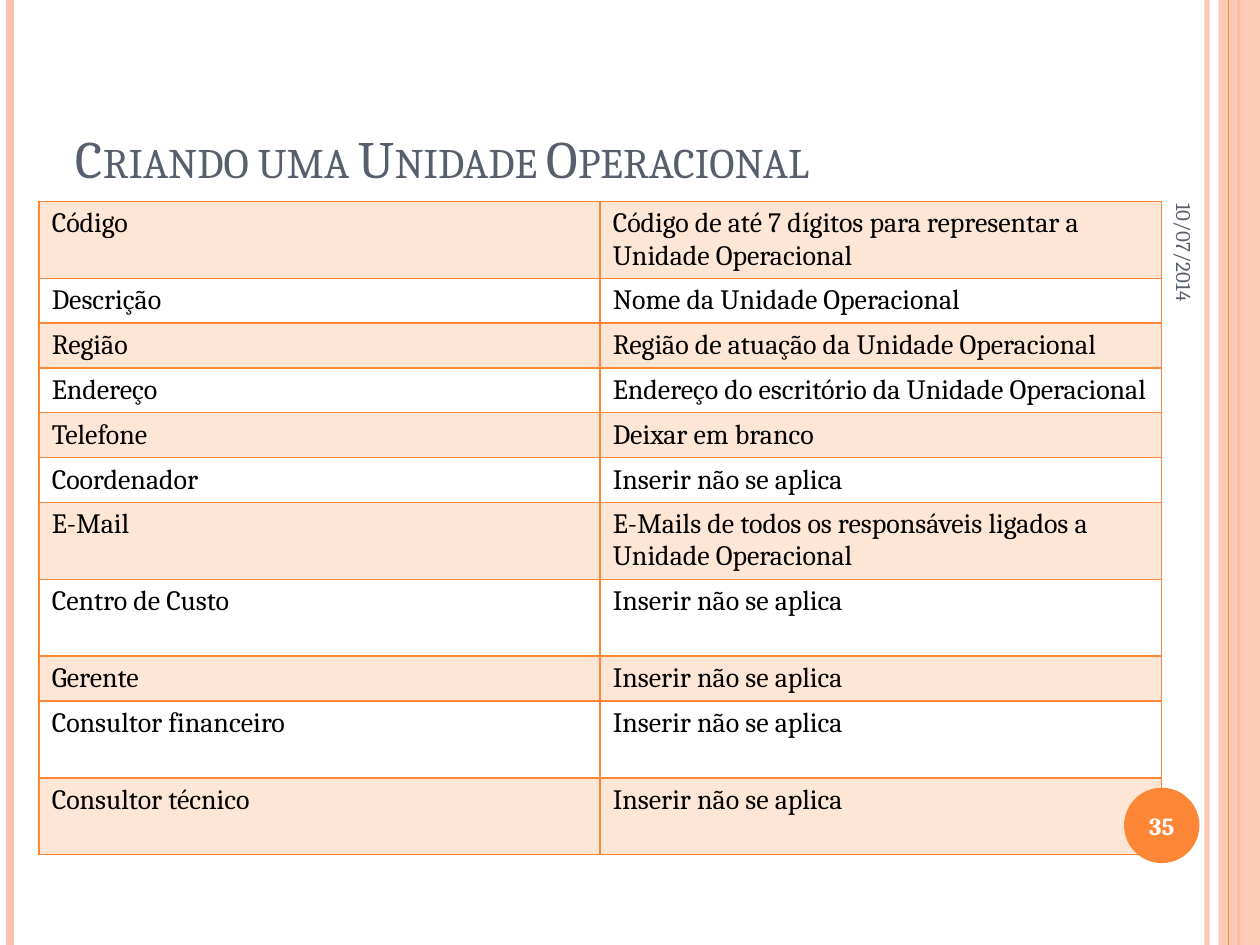
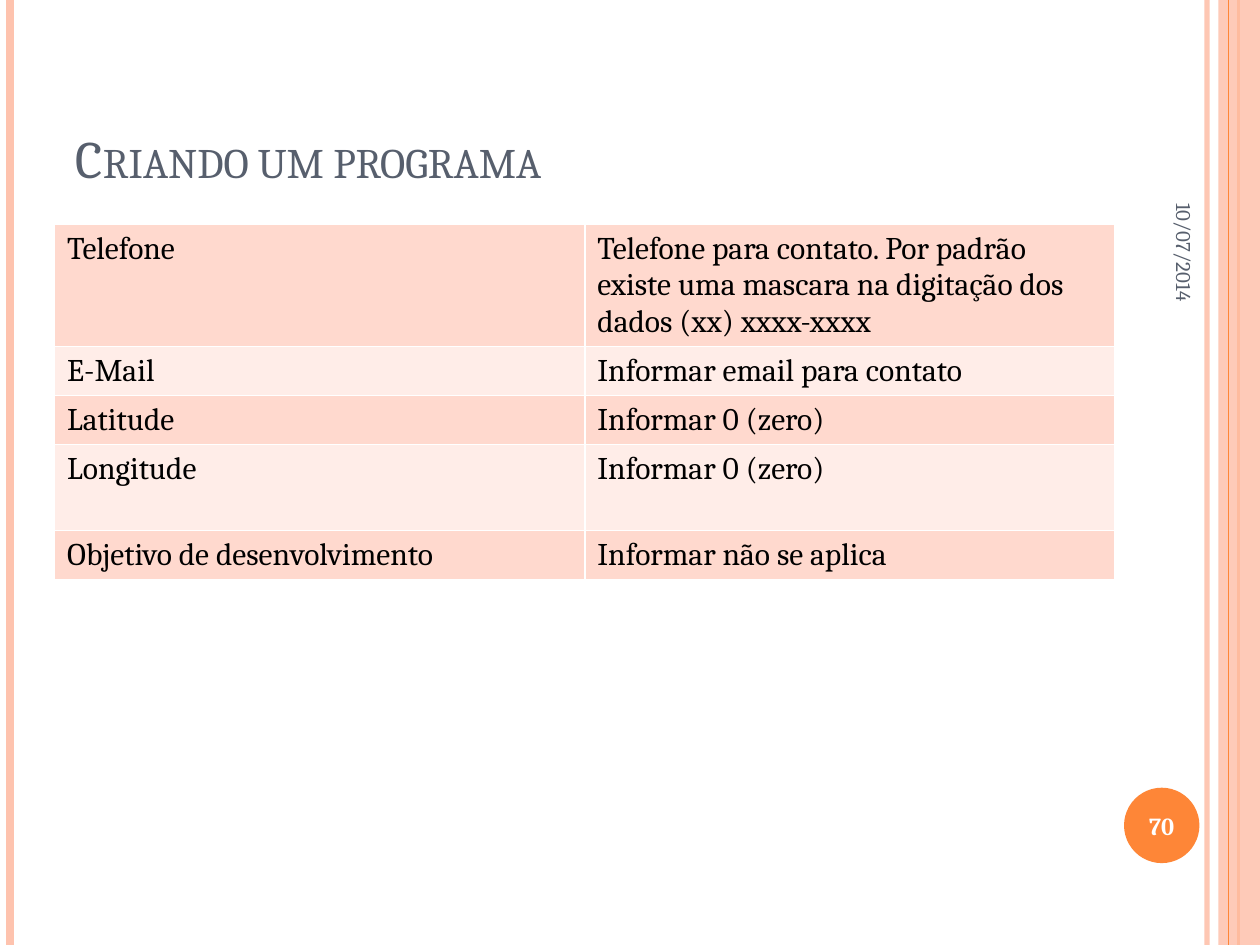
from lxml import etree
from pptx import Presentation
from pptx import util as u
from pptx.dml.color import RGBColor
from pptx.enum import shapes, text
from pptx.oxml.ns import qn

FONT = "Cambria"
COLORS = {"orange": "FE8637", "peach": "FEC3AE", "slate": "575F6D", "black": "000000",
          "white": "FFFFFF", "band_dark": "FFD9CE", "band_light": "FFEDE8"}

# (x in cm, colour, width in pt, opacity in %)
RULES = [(24.33, "peach", 3, 93), (0.21, "peach", 4.5, 100),
         (24.97, "orange", 1.5, 100), (24.77, "orange", 0.75, 100)]

TALL, SHORT = 1.55, 0.9
SLIDES = [
    dict(title="Criando uma Unidade Operacional", number="35",
         left=0.79, top=4.06, col=11.31, size=16, border="orange",
         bands=[("orange", 20), None],
         rows=[("Código", "Código de até 7 dígitos para representar a Unidade Operacional", TALL),
               ("Descrição", "Nome da Unidade Operacional", SHORT),
               ("Região", "Região de atuação da Unidade Operacional", SHORT),
               ("Endereço", "Endereço do escritório da Unidade Operacional", SHORT),
               ("Telefone", "Deixar em branco", SHORT),
               ("Coordenador", "Inserir não se aplica", SHORT),
               ("E-Mail", "E-Mails de todos os responsáveis ligados a Unidade Operacional", TALL),
               ("Centro de Custo", "Inserir não se aplica", TALL),
               ("Gerente", "Inserir não se aplica", SHORT),
               ("Consultor financeiro", "Inserir não se aplica", TALL),
               ("Consultor técnico", "Inserir não se aplica", TALL)]),
    dict(title="Criando um programa", number="70",
         left=1.1, top=4.53, col=10.69, size=18, border="white",
         bands=[("band_dark", 100), ("band_light", 100)],
         rows=[("Telefone", "Telefone para contato. Por padrão existe uma mascara na "
                "digitação dos dados (xx) xxxx-xxxx", 2.44),
               ("E-Mail", "Informar email para contato", 0.99),
               ("Latitude", "Informar 0 (zero)", 0.99),
               ("Longitude", "Informar 0 (zero)", 1.73),
               ("Objetivo de desenvolvimento", "Informar não se aplica", 0.99)]),
]


def write(tf, content, size, color="black", bold=False, align=text.PP_ALIGN.LEFT,
          anchor=text.MSO_ANCHOR.MIDDLE, small_caps=False):
    tf.word_wrap = True
    tf.vertical_anchor = anchor
    p = tf.paragraphs[0]
    p.alignment = align
    r = p.add_run()
    r.text = content
    r.font.name, r.font.size, r.font.bold = FONT, u.Pt(size), bold
    r.font.color.rgb = RGBColor.from_string(COLORS[color])
    if small_caps:
        r._r.get_or_add_rPr().set("cap", "small")


def paint(fill, parent, color, opacity=100):
    """Fill solidly; parent is the XML element that holds the fill."""
    fill.solid()
    fill.fore_color.rgb = RGBColor.from_string(COLORS[color])
    if opacity < 100:
        clr = parent.find(qn("a:solidFill")).find(qn("a:srgbClr"))
        etree.SubElement(clr, qn("a:alpha"), val=str(opacity * 1000))


prs = Presentation()
prs.slide_width, prs.slide_height = u.Cm(25.4), u.Cm(19.05)

for data in SLIDES:
    s = prs.slides.add_slide(prs.slide_layouts[5])

    # Edge rules, with the side band just below the last one
    for i, (x, color, width, opacity) in enumerate(RULES):
        if i == len(RULES) - 1:
            band = s.shapes.add_shape(shapes.MSO_SHAPE.RECTANGLE,
                                      u.Cm(24.56), 0, u.Cm(0.84), prs.slide_height)
            band.shadow.inherit = False
            band.line.fill.background()
            paint(band.fill, band._element.spPr, "peach", 87)
        rule = s.shapes.add_connector(shapes.MSO_CONNECTOR.STRAIGHT,
                                      u.Cm(x), 0, u.Cm(x), prs.slide_height)
        rule.line.width = u.Pt(width)
        paint(rule.line.fill, rule.line._ln, color, opacity)
        etree.SubElement(rule._element.spPr, qn("a:effectLst"))

    # Title
    title = s.shapes.title
    title.left, title.top, title.width, title.height = (
        u.Cm(1.27), u.Cm(0.76), u.Cm(20.75), u.Cm(3.18))
    title.text_frame.auto_size = text.MSO_AUTO_SIZE.NONE
    write(title.text_frame, data["title"], 30, "slate",
          anchor=text.MSO_ANCHOR.BOTTOM, small_caps=True)

    # Field table
    rows = data["rows"]
    table = s.shapes.add_table(len(rows), 2, u.Cm(data["left"]), u.Cm(data["top"]),
                               u.Cm(2 * data["col"]), u.Cm(sum(r[2] for r in rows))).table
    table.first_row = table.horz_banding = False
    for column in table.columns:
        column.width = u.Cm(data["col"])
    for i, (field, meaning, height) in enumerate(rows):
        table.rows[i].height = u.Cm(height)
        for j, content in enumerate((field, meaning)):
            cell = table.cell(i, j)
            write(cell.text_frame, content, data["size"])
            cell.vertical_anchor = text.MSO_ANCHOR.TOP
            tcPr = cell._tc.get_or_add_tcPr()
            for side in ("lnL", "lnR", "lnT", "lnB"):
                ln = etree.SubElement(tcPr, qn(f"a:{side}"), w=str(u.Pt(1)))
                solid = etree.SubElement(ln, qn("a:solidFill"))
                etree.SubElement(solid, qn("a:srgbClr"), val=COLORS[data["border"]])
            shade = data["bands"][i % 2]
            if shade:
                paint(cell.fill, tcPr, *shade)
            else:
                cell.fill.background()

    # Date and slide number
    date = s.shapes.add_textbox(u.Cm(21.08), u.Cm(3), u.Cm(5.59), u.Cm(1.07))
    date.rotation = 90
    write(date.text_frame, "10/07/2014", 12, "slate", align=text.PP_ALIGN.RIGHT)

    badge = s.shapes.add_shape(shapes.MSO_SHAPE.OVAL,
                               u.Cm(22.66), u.Cm(15.88), u.Cm(1.52), u.Cm(1.52))
    badge.shadow.inherit = False
    badge.line.fill.background()
    paint(badge.fill, badge._element.spPr, "orange")
    tf = badge.text_frame
    tf.margin_left = tf.margin_right = tf.margin_top = tf.margin_bottom = 0
    write(tf, data["number"], 14, "white", bold=True, align=text.PP_ALIGN.CENTER)

prs.save("out.pptx")
